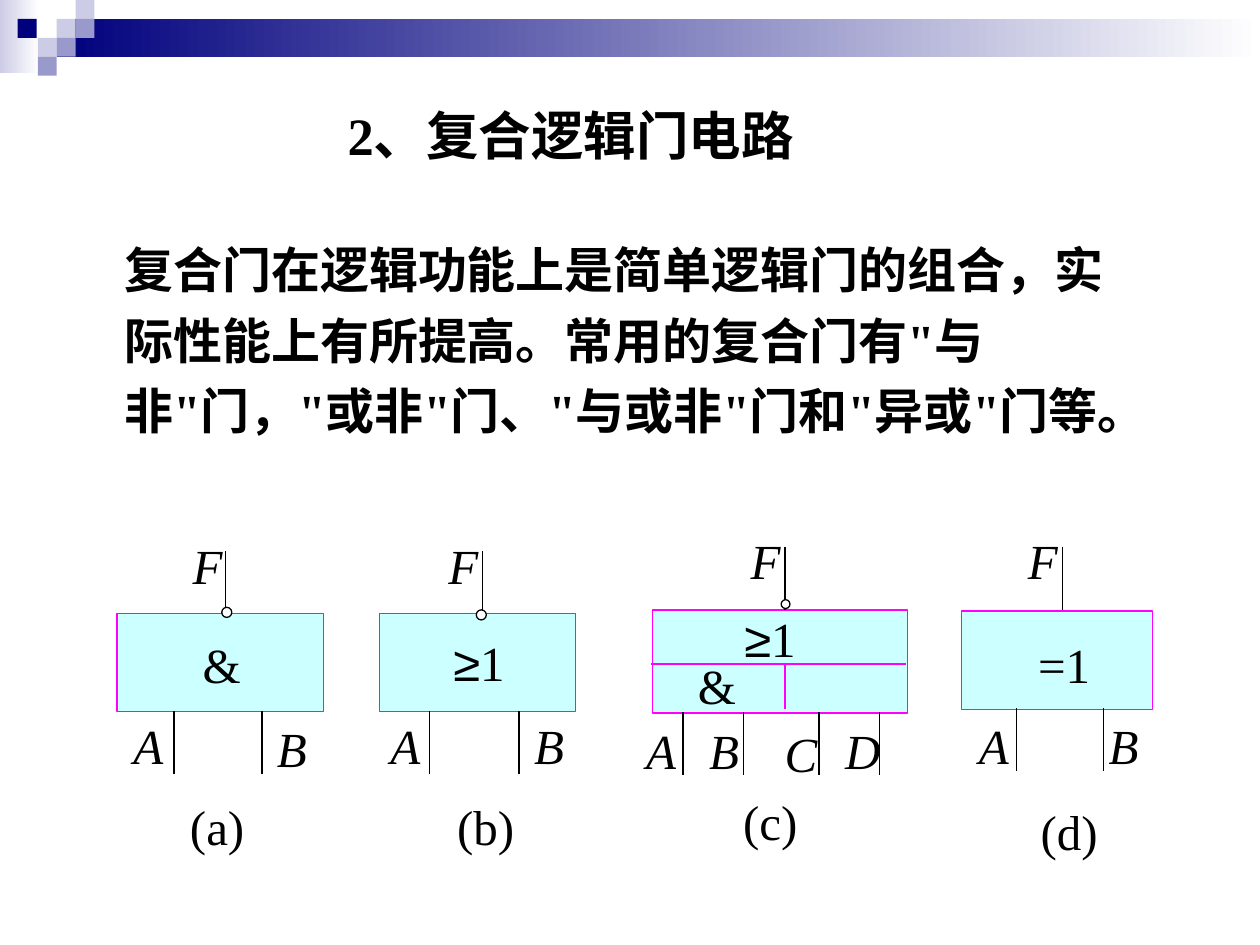
from lxml.etree import SubElement
from pptx import Presentation
from pptx.dml.color import RGBColor
from pptx.enum.shapes import MSO_CONNECTOR, MSO_SHAPE
from pptx.enum.text import MSO_ANCHOR, MSO_AUTO_SIZE, PP_ALIGN
from pptx.oxml.ns import qn
from pptx.util import Inches, Pt

COLORS = {
    "navy": "00007D", "lilac": "CCCCE6", "violet": "9999CC", "white": "FFFFFF",
    "black": "000000", "cyan": "CCFFFF", "magenta": "FF00FF",
}
TITLE = "2、复合逻辑门电路"
BODY = ('复合门在逻辑功能上是简单逻辑门的组合，实际性能上有所提高。常用的复合门有"与非"门，'
        '"或非"门、"与或非"门和"异或"门等。')

BANDS = [((0, 0, 0.31, 0.58), "lilac"), ((0.45, 0.15, 9.55, 0.3), "navy")]
TILE = 0.15
TILES = [
    (0.45, 0.15, "lilac"), (0.6, 0, "lilac"), (0.6, 0.15, "violet"), (0.3, 0.3, "lilac"),
    (0.14, 0.15, "navy"), (0.45, 0.3, "violet"), (0.3, 0.45, "violet"),
]

WIRE = 0.5
LABEL_HEIGHT = 0.57
LETTER_WIDTH = 0.44
GATES = [
    {"body": (0.93, 4.87, 1.64, 0.78), "output": (1.79, 4.87), "output_label": (1.43, 4.2),
     "bubble": (1.76, 4.82, 0.08), "input_top": 5.64,
     "inputs": [("A", 1.38, 0.96, 5.63), ("B", 2.08, 2.1, 5.65)],
     "symbols": [("&", 1.51, 4.99, 0.5)], "caption": ("(a)", 1.41, 6.27, 0.63), "dividers": []},
    {"body": (3.01, 4.87, 1.56, 0.78), "output": (3.83, 4.87), "output_label": (3.46, 4.2),
     "bubble": (3.78, 4.84, 0.08), "input_top": 5.64,
     "inputs": [("A", 3.41, 3.0, 5.63), ("B", 4.12, 4.14, 5.63)],
     "symbols": [("≥1", 3.5, 4.97, 0.7)], "caption": ("(b)", 3.53, 6.27, 0.65), "dividers": []},
    {"body": (5.18, 4.84, 2.02, 0.82), "output": (6.23, 4.84), "output_label": (5.86, 4.16),
     "bubble": (6.2, 4.76, 0.07), "input_top": 5.65,
     "inputs": [("A", 5.42, 5.03, 5.67), ("B", 5.9, 5.53, 5.67),
                ("C", 6.5, 6.13, 5.69), ("D", 6.98, 6.61, 5.67)],
     "symbols": [("≥1", 5.81, 4.78, 0.7), ("&", 5.44, 5.15, 0.5)],
     "caption": ("(c)", 5.8, 6.23, 0.63),
     "dividers": [(5.17, 5.27, 7.19, 5.27), (6.23, 5.27, 6.23, 5.63)]},
    {"body": (7.63, 4.85, 1.52, 0.78), "output": (8.43, 4.84), "output_label": (8.06, 4.16),
     "bubble": None, "input_top": 5.62,
     "inputs": [("A", 8.07, 7.67, 5.63), ("B", 8.76, 8.7, 5.63)],
     "symbols": [("=1", 8.14, 4.99, 0.61)], "caption": ("(d)", 8.16, 6.31, 0.71), "dividers": []},
]


def color(name):
    return RGBColor.from_string(COLORS[name])


def set_all(target, values):
    for name, value in values.items():
        setattr(target, name, value)


def add_block(page, kind, place, fill, line=None):
    block = page.shapes.add_shape(kind, *map(Inches, place))
    block.shadow.inherit = False
    block.fill.solid()
    block.fill.fore_color.rgb = color(fill)
    if line:
        block.line.color.rgb = color(line)
        block.line.width = Pt(0.75)
    else:
        block.line.fill.background()
    return block


def add_band(page, place, start):
    fill = add_block(page, MSO_SHAPE.RECTANGLE, place, start).fill
    fill.gradient()
    fill.gradient_angle = 0
    for stop, name, position in zip(fill.gradient_stops, (start, "white"), (0, 1)):
        stop.color.rgb = color(name)
        stop.position = position


def add_line(page, ends, name):
    line = page.shapes.add_connector(MSO_CONNECTOR.STRAIGHT, *map(Inches, ends))
    line.line.color.rgb = color(name)
    line.line.width = Pt(0.75)
    SubElement(line._element.spPr, qn("a:effectLst"))


def write(box, text, size, wrap=True, bold=False, italic=False, spacing=1.0):
    set_all(box.text_frame, {
        "word_wrap": wrap, "auto_size": MSO_AUTO_SIZE.SHAPE_TO_FIT_TEXT,
        "vertical_anchor": MSO_ANCHOR.TOP,
        "margin_left": Inches(0.1), "margin_right": Inches(0.1),
        "margin_top": Inches(0.05), "margin_bottom": Inches(0.05),
    })
    para = box.text_frame.paragraphs[0]
    set_all(para, {"alignment": PP_ALIGN.LEFT, "line_spacing": spacing, "space_before": Pt(0)})
    pieces = ["≥", text[1:]] if text.startswith("≥") else [text]
    for piece in pieces:
        span = para.add_run()
        span.text = piece
        set_all(span.font, {"name": "Arial" if piece == "≥" else "Times New Roman",
                            "size": Pt(size), "bold": bold, "italic": italic})
        span.font.color.rgb = color("black")


def add_label(page, text, left, top, width=LETTER_WIDTH, italic=False):
    box = page.shapes.add_textbox(*map(Inches, (left, top, width, LABEL_HEIGHT)))
    write(box, text, 28, wrap=False, italic=italic)


def add_gate(page, gate):
    add_block(page, MSO_SHAPE.RECTANGLE, gate["body"], "cyan", "magenta")
    for ends in gate["dividers"]:
        add_line(page, ends, "magenta")
    x, y = gate["output"]
    add_line(page, (x, y, x, y - WIRE), "black")
    add_label(page, "F", *gate["output_label"], italic=True)
    top = gate["input_top"]
    for letter, x, left, label_top in gate["inputs"]:
        add_line(page, (x, top + WIRE, x, top), "black")
        add_label(page, letter, left, label_top, italic=True)
    for label in gate["symbols"] + [gate["caption"]]:
        add_label(page, *label)
    if gate["bubble"]:
        left, top, size = gate["bubble"]
        add_block(page, MSO_SHAPE.OVAL, (left, top, size, size), "white", "black")


def main():
    deck = Presentation()
    set_all(deck, {"slide_width": Inches(10), "slide_height": Inches(7.5)})
    page = deck.slides.add_slide(deck.slide_layouts[5])
    for place, start in BANDS:
        add_band(page, place, start)
    for left, top, fill in TILES:
        add_block(page, MSO_SHAPE.RECTANGLE, (left, top, TILE, TILE), fill)
    title = page.shapes.title
    set_all(title, {"left": Inches(2.66), "top": Inches(0.77),
                    "width": Inches(4.9), "height": Inches(0.6)})
    write(title, TITLE, 30, bold=True)
    body = page.shapes.add_textbox(*map(Inches, (0.89, 1.76, 8.06, 2.34)))
    write(body, BODY, 28, bold=True, spacing=1.2)
    for gate in GATES:
        add_gate(page, gate)
    deck.save("out.pptx")


if __name__ == "__main__":
    main()
